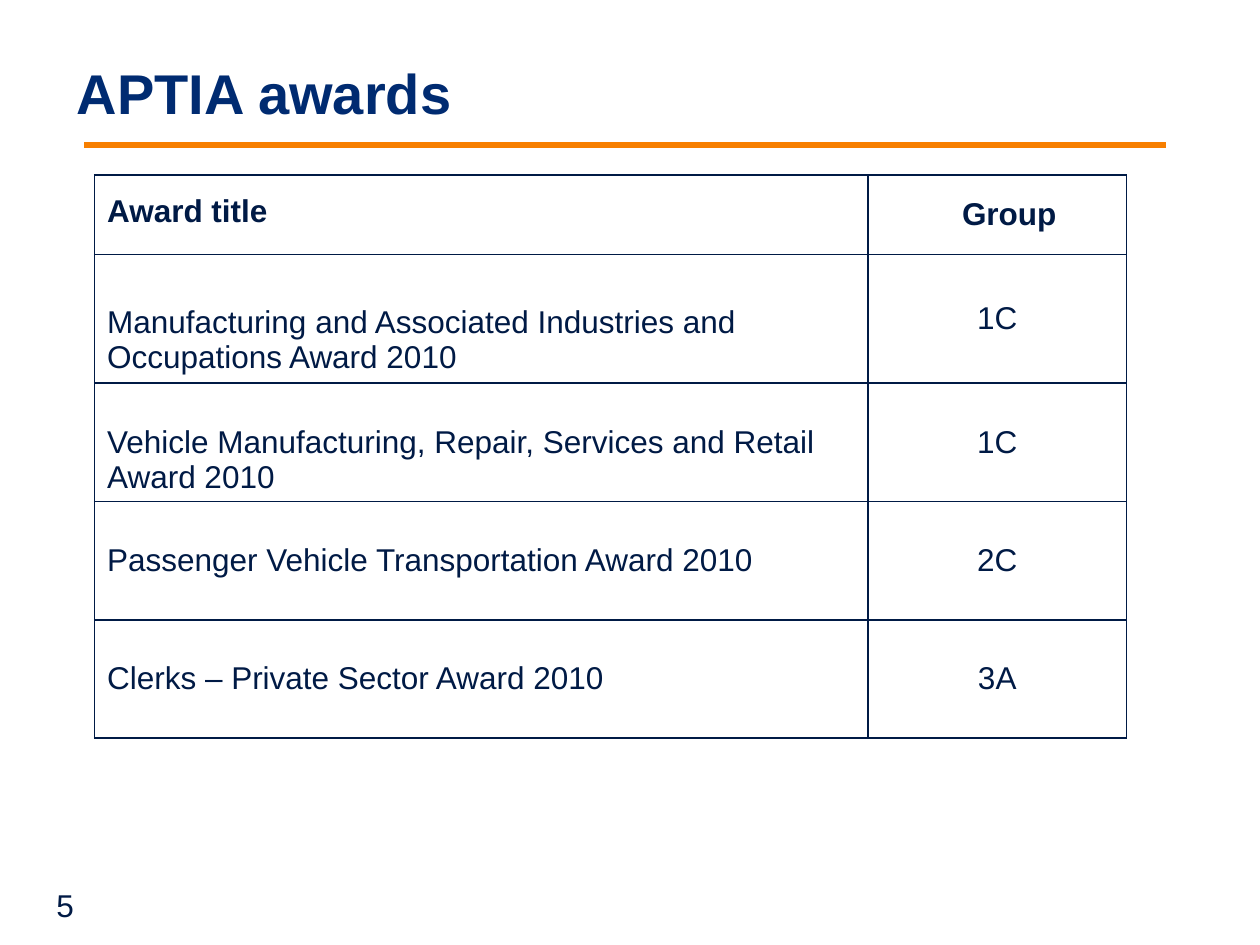
from dataclasses import dataclass

from lxml.etree import SubElement
from pptx import Presentation
from pptx.dml.color import RGBColor
from pptx.enum.shapes import MSO_CONNECTOR
from pptx.enum.text import MSO_ANCHOR, PP_ALIGN
from pptx.oxml.ns import qn
from pptx.slide import Slide
from pptx.table import Table, _Cell
from pptx.text.text import TextFrame
from pptx.util import Emu, Pt

EMU_PER_PX = 9144
NAVY, INK, ORANGE = "002B71", "001A45", "F77F00"
COLUMN_WIDTHS = (614, 205)


@dataclass(frozen=True)
class AwardRow:
    """One table row; height and top margin are in px."""
    title: str
    group: str
    height: int
    top_margin: int
    is_header: bool = False


ROWS = (
    AwardRow("Award title", "Group", 63, 15, True),
    AwardRow("Manufacturing and Associated Industries and Occupations Award 2010", "1C", 102, 40),
    AwardRow("Vehicle Manufacturing, Repair, Services and Retail Award 2010", "1C", 94, 33),
    AwardRow("Passenger Vehicle Transportation Award 2010", "2C", 94, 33),
    AwardRow("Clerks – Private Sector Award 2010", "3A", 94, 33),
)


def px(length: int) -> Emu:
    """Turn px, at 100 to the inch, into EMU."""
    return Emu(length * EMU_PER_PX)


def rgb(value: str) -> RGBColor:
    """Turn a hex string into a colour."""
    return RGBColor.from_string(value)


def write(frame: TextFrame, text: str, size: int = 18, color: str = INK,
          bold: bool = False, align: PP_ALIGN = PP_ALIGN.LEFT) -> None:
    """Fill a text frame with one formatted paragraph."""
    frame.word_wrap = True
    frame.text = text
    para = frame.paragraphs[0]
    para.alignment = align
    font = para.runs[0].font
    font.name, font.size, font.bold = "Arial", Pt(size), bold
    font.color.rgb = rgb(color)


def add_title(slide: Slide, text: str) -> None:
    """Place and format the title placeholder."""
    title = slide.shapes.title
    title.left, title.top, title.width, title.height = px(51), px(0), px(850), px(147)
    write(title.text_frame, text, 32, NAVY, True)
    title.text_frame.vertical_anchor = MSO_ANCHOR.MIDDLE


def add_rule(slide: Slide) -> None:
    """Draw the rule under the title."""
    rule = slide.shapes.add_connector(MSO_CONNECTOR.STRAIGHT, px(67), px(115), px(925), px(115))
    rule.line.color.rgb = rgb(ORANGE)
    rule.line.width = Pt(3)
    SubElement(rule._element.spPr, qn("a:effectLst"))


def style_cell(cell: _Cell) -> None:
    """Give a cell thin borders and no fill."""
    properties = cell._tc.get_or_add_tcPr()
    for side in ("lnL", "lnR", "lnT", "lnB"):
        border = SubElement(properties, qn(f"a:{side}"), w=str(Pt(1)))
        fill = SubElement(border, qn("a:solidFill"))
        SubElement(fill, qn("a:srgbClr"), val=INK)
    cell.fill.background()


def fill_row(table: Table, index: int, row: AwardRow) -> None:
    """Write and format one award row."""
    table.rows[index].height = px(row.height)
    title, group = table.cell(index, 0), table.cell(index, 1)
    for cell in (title, group):
        style_cell(cell)
    title.margin_top, title.margin_bottom = px(row.top_margin), px(4)
    write(title.text_frame, row.title, bold=row.is_header)
    write(group.text_frame, row.group, bold=row.is_header, align=PP_ALIGN.CENTER)
    group.vertical_anchor = MSO_ANCHOR.MIDDLE
    if row.is_header:
        properties = group.text_frame.paragraphs[0]._p.get_or_add_pPr()
        properties.set("marL", str(px(127)))
        properties.set("indent", str(px(-108)))


def add_awards(slide: Slide) -> None:
    """Add the table of awards."""
    height = sum(row.height for row in ROWS)
    frame = slide.shapes.add_table(len(ROWS), len(COLUMN_WIDTHS), px(75), px(139),
                                   px(sum(COLUMN_WIDTHS)), px(height))
    table = frame.table
    table.first_row = table.horz_banding = False
    for column, width in zip(table.columns, COLUMN_WIDTHS):
        column.width = px(width)
    for index, row in enumerate(ROWS):
        fill_row(table, index, row)


def add_page_number(slide: Slide, number: str) -> None:
    """Add the page number at the lower left."""
    box = slide.shapes.add_textbox(px(35), px(698), px(233), px(40))
    write(box.text_frame, number)


def main() -> None:
    """Build and save the deck."""
    deck = Presentation()
    deck.slide_width, deck.slide_height = px(1000), px(750)
    page = deck.slides.add_slide(deck.slide_layouts[5])
    add_rule(page)
    add_title(page, "APTIA awards")
    add_awards(page)
    add_page_number(page, "5")
    deck.save("out.pptx")


if __name__ == "__main__":
    main()
